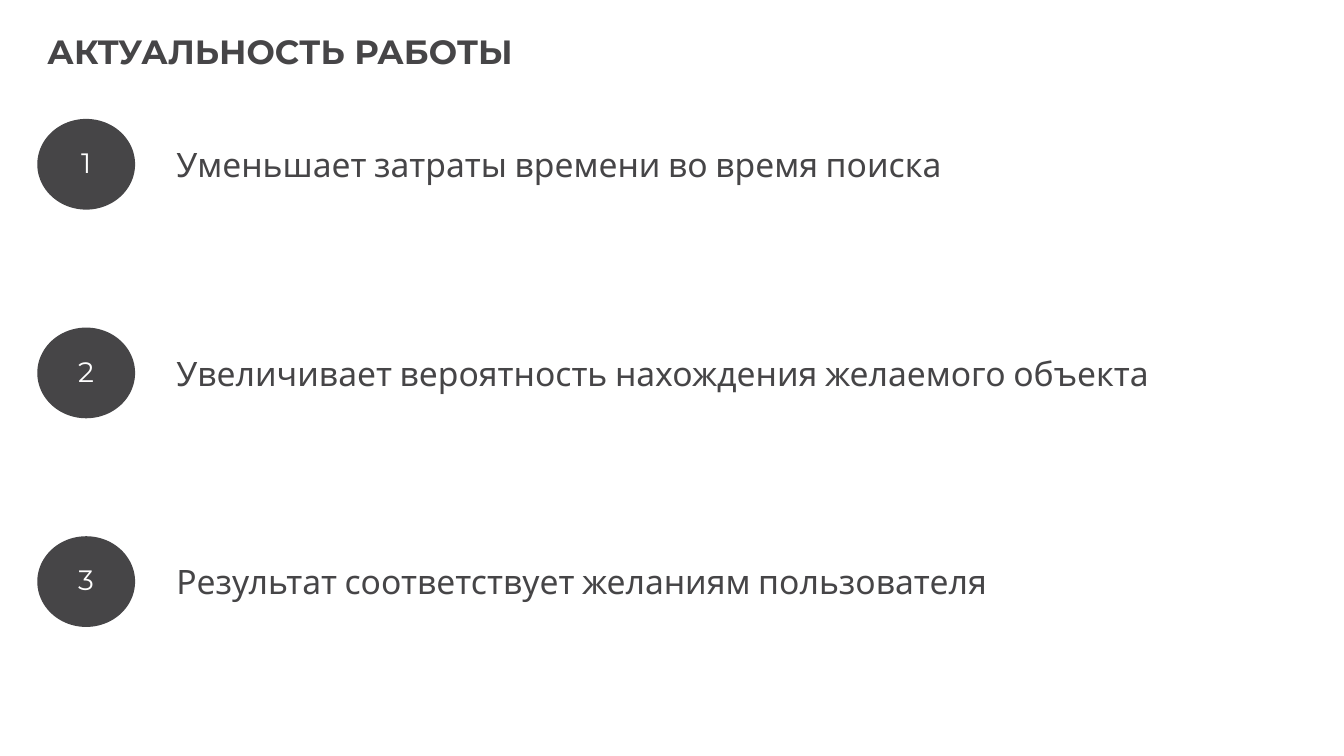
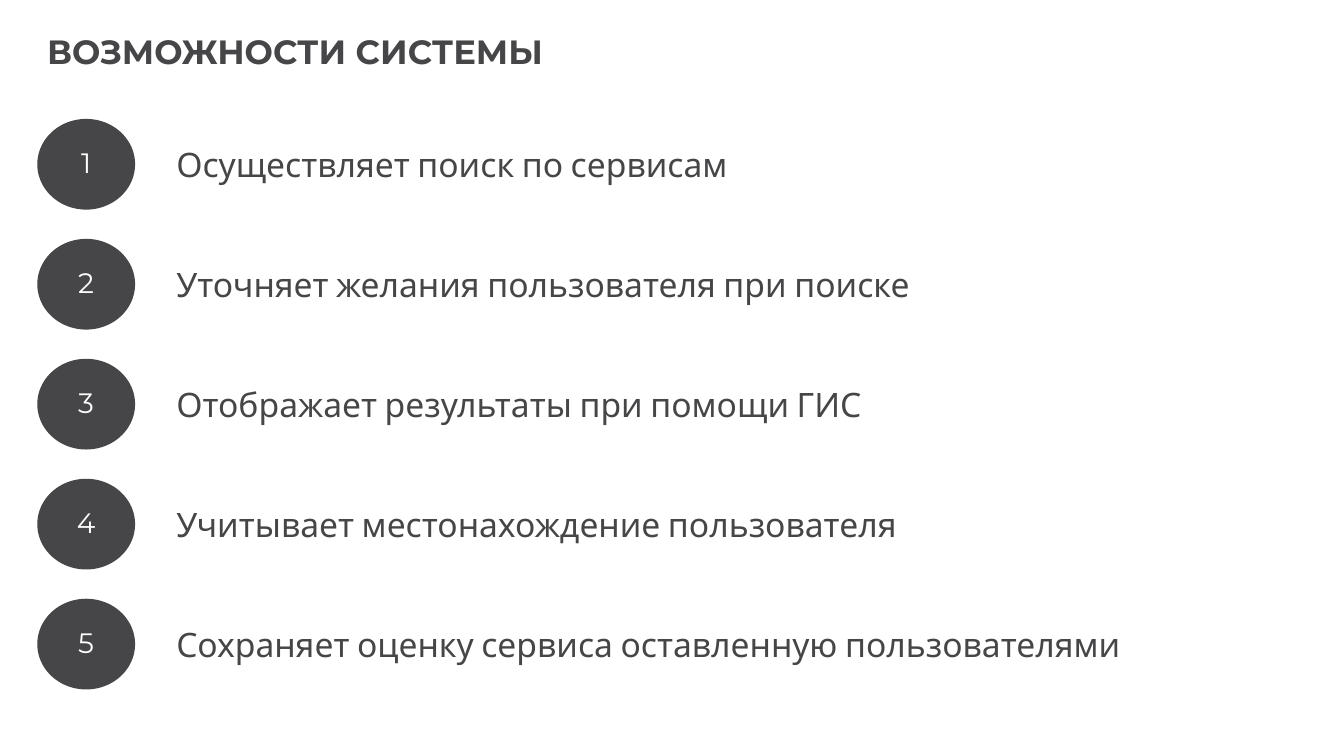
from pptx import Presentation
from pptx.dml.color import RGBColor
from pptx.enum.shapes import MSO_SHAPE as Shape
from pptx.enum.text import MSO_ANCHOR as Anchor, MSO_AUTO_SIZE as AutoSize, PP_ALIGN as Align
from pptx.util import Inches, Pt

DARK = RGBColor(0x46, 0x45, 0x47)
WHITE = RGBColor(0xFF, 0xFF, 0xFF)
HEADING_FONT = "Montserrat"
BODY_FONT = "Cabin"

LEFT = 0.37
FIRST_TOP = 1.18
BADGE_WIDTH, BADGE_HEIGHT = 0.97, 0.9
TEXT_LEFT, TEXT_WIDTH, TEXT_HEIGHT = 1.65, 10.41, 0.5

SLIDES = [
    ("АКТУАЛЬНОСТЬ РАБОТЫ", 2.07, [
        "Уменьшает затраты времени во время поиска",
        "Увеличивает вероятность нахождения желаемого объекта",
        "Результат соответствует желаниям пользователя",
    ]),
    ("ВОЗМОЖНОСТИ СИСТЕМЫ", 1.19, [
        "Осуществляет поиск по сервисам",
        "Уточняет желания пользователя при поиске",
        "Отображает результаты при помощи ГИС",
        "Учитывает местонахождение пользователя",
        "Сохраняет оценку сервиса оставленную пользователями",
    ]),
]


class Deck:
    def __init__(self):
        self.presentation = Presentation()
        self.presentation.slide_width = Inches(13.33)
        self.presentation.slide_height = Inches(7.5)
        self.slide = None

    def add_slide(self, title):
        self.slide = self.presentation.slides.add_slide(self.presentation.slide_layouts[6])
        frame = self.text(title, LEFT, 0, 12.96, 1.02, HEADING_FONT, bold=True)
        frame.vertical_anchor = Anchor.MIDDLE

    def fill_frame(self, frame, text, size, font, color, bold=False):
        frame.word_wrap = True
        paragraph = frame.paragraphs[0]
        paragraph.text = text
        paragraph.font.size = Pt(size)
        paragraph.font.name = font
        paragraph.font.bold = bold
        paragraph.font.color.rgb = color
        return paragraph

    def text(self, text, left, top, width, height, font, bold=False):
        box = self.slide.shapes.add_textbox(
            Inches(left), Inches(top), Inches(width), Inches(height))
        self.fill_frame(box.text_frame, text, 24, font, DARK, bold)
        return box.text_frame

    def badge(self, number, top):
        shape = self.slide.shapes.add_shape(
            Shape.OVAL, Inches(LEFT), Inches(top), Inches(BADGE_WIDTH), Inches(BADGE_HEIGHT))
        shape.shadow.inherit = False
        shape.fill.solid()
        shape.fill.fore_color.rgb = DARK
        shape.line.fill.background()
        frame = shape.text_frame
        frame.margin_left = frame.margin_right = 0
        frame.vertical_anchor = Anchor.MIDDLE
        paragraph = self.fill_frame(frame, str(number), 20, HEADING_FONT, WHITE)
        paragraph.alignment = Align.CENTER
        paragraph.line_spacing = 0.9

    def numbered_list(self, items, pitch):
        for index, item in enumerate(items):
            top = FIRST_TOP + index * pitch
            self.badge(index + 1, top)
            text_top = top + (BADGE_HEIGHT - TEXT_HEIGHT) / 2
            frame = self.text(item, TEXT_LEFT, text_top, TEXT_WIDTH, TEXT_HEIGHT, BODY_FONT)
            frame.auto_size = AutoSize.SHAPE_TO_FIT_TEXT


def main():
    deck = Deck()
    for title, pitch, items in SLIDES:
        deck.add_slide(title)
        deck.numbered_list(items, pitch)
    deck.presentation.save("out.pptx")


if __name__ == "__main__":
    main()
